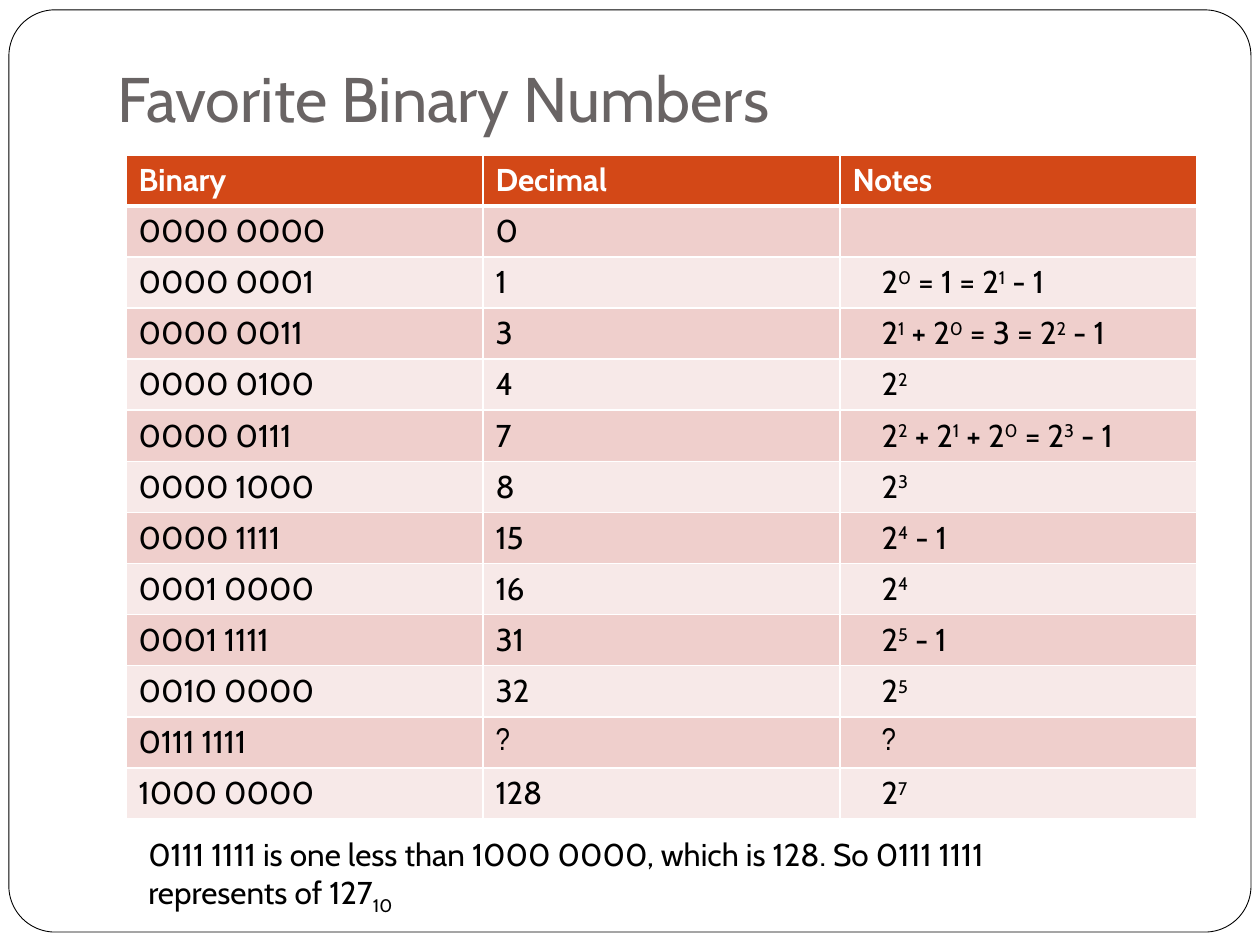
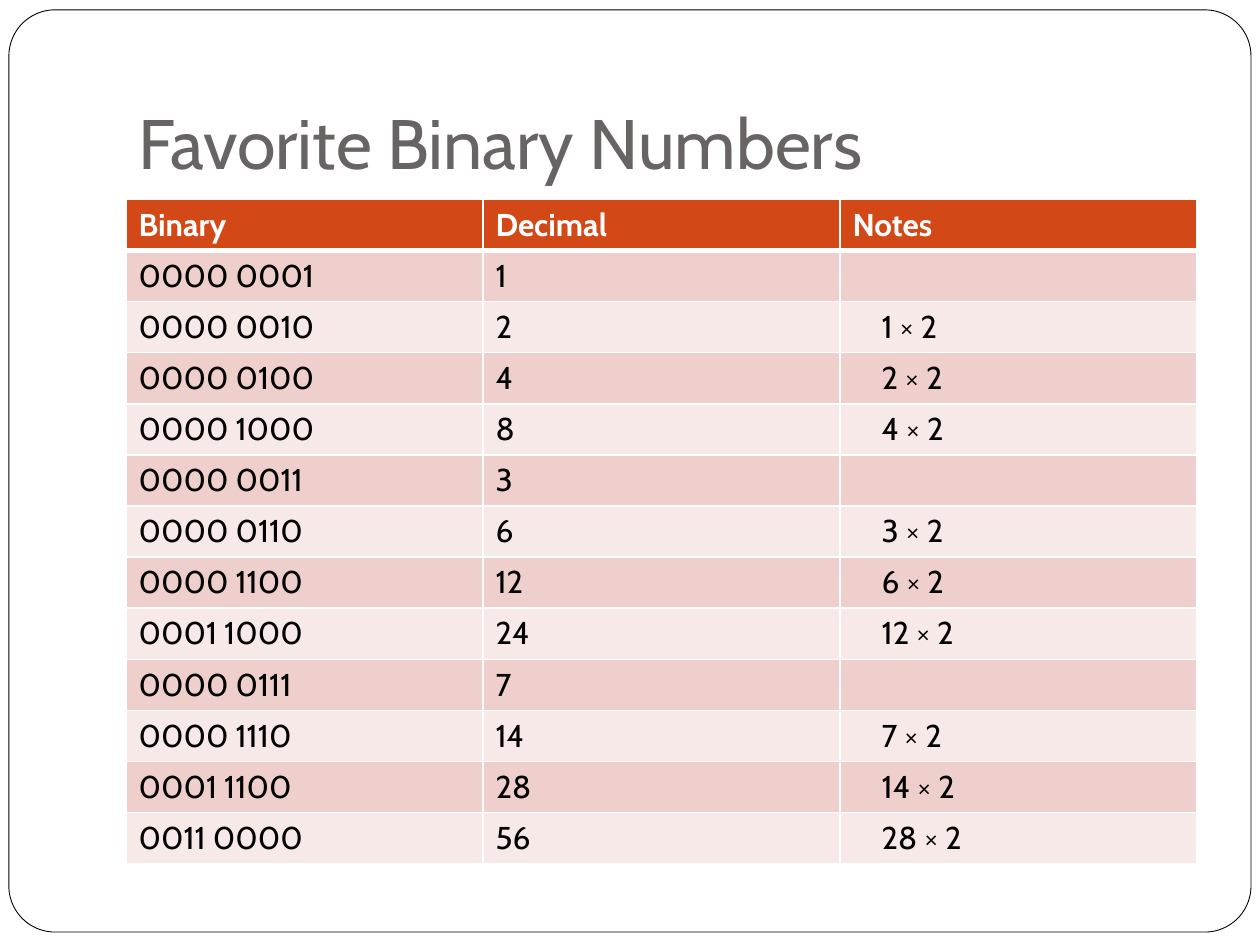
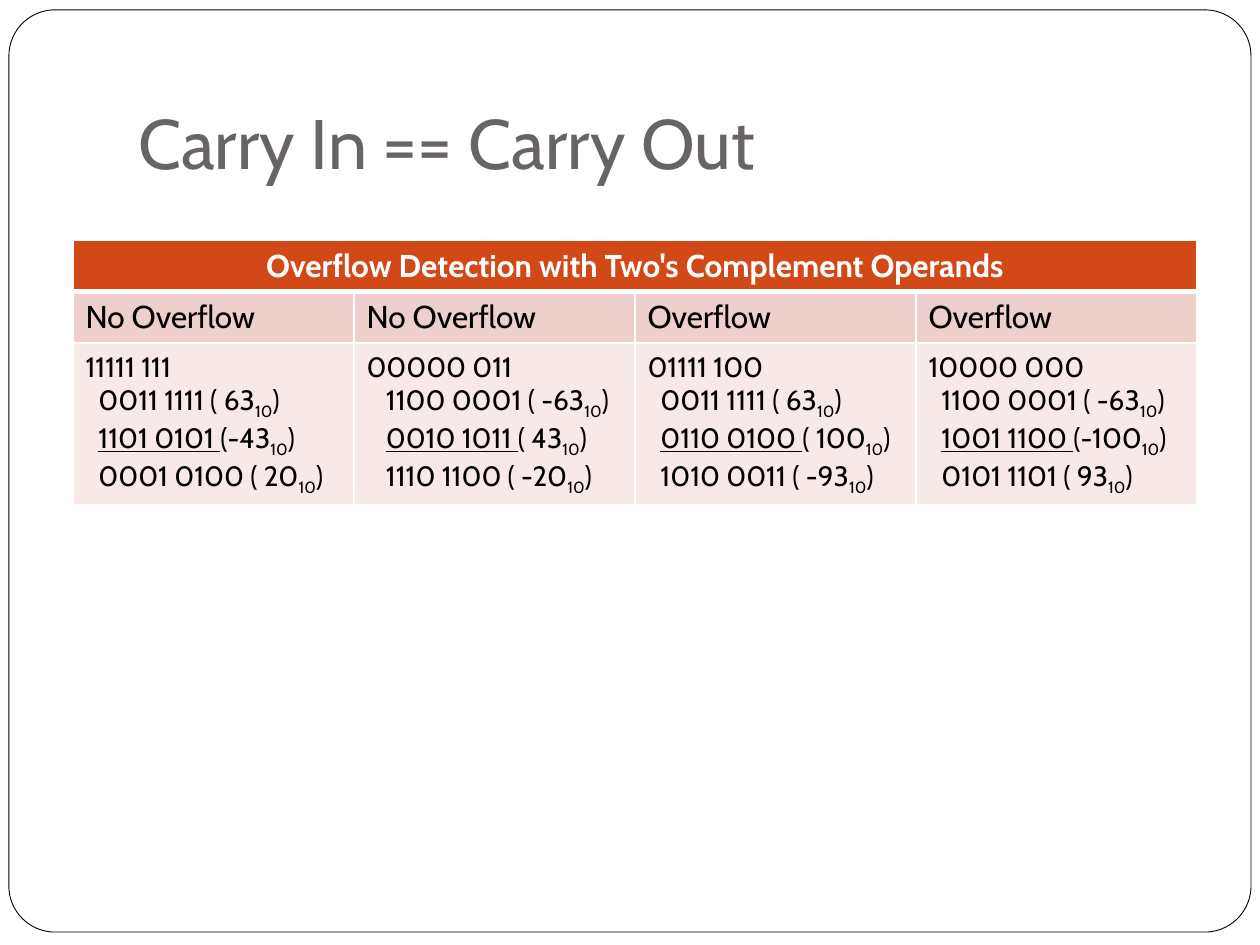
"""Build three slides on binary numbers and overflow."""
from lxml import etree
from pptx import Presentation
from pptx.dml.color import RGBColor
from pptx.enum.shapes import MSO_SHAPE
from pptx.enum.text import MSO_ANCHOR, PP_ALIGN
from pptx.oxml.ns import qn
from pptx.util import Cm, Pt

ROUND = MSO_SHAPE.ROUNDED_RECTANGLE
MIDDLE, BOTTOM = MSO_ANCHOR.MIDDLE, MSO_ANCHOR.BOTTOM
CENTER = PP_ALIGN.CENTER

WHITE = RGBColor(0xFF, 0xFF, 0xFF)
BLACK = RGBColor(0, 0, 0)
GRAY = RGBColor(0x69, 0x64, 0x64)
RUST = RGBColor(0xD3, 0x48, 0x17)
ROSE = RGBColor(0xEF, 0xCF, 0xCC)
BLUSH = RGBColor(0xF7, 0xE9, 0xE8)

BODY = {"name": "Cabin", "size": Pt(18), "bold": False}
HEAD = {**BODY, "bold": True}
SUM = {**BODY, "size": Pt(16)}
MARK = {**BODY, "name": "Arial Narrow"}
ROW = 1.03


def write(para, text, look, color=BLACK, shift=30):
    """Write text: a part before * is underlined, parts between ^ are shifted."""
    lined, _, plain = text.rpartition("*")
    parts = [(lined, True, 0)] + [
        (part, False, shift * (i % 2)) for i, part in enumerate(plain.split("^"))
    ]
    for part, under, base in parts:
        if not part:
            continue
        run = para.add_run()
        run.text = part
        for name, value in {**look, "underline": under}.items():
            setattr(run.font, name, value)
        run.font.color.rgb = color
        if base:
            run._r.get_or_add_rPr().set("baseline", str(base * 1000))


def grid(slide, left, top, width, rows, cols):
    """Add a table with white rules, a rust header and banded rows."""
    frame = slide.shapes.add_table(
        rows, cols, Cm(left), Cm(top), Cm(width), Cm(ROW * rows)
    )
    table = frame.table
    for r in range(rows):
        for c in range(cols):
            cell = table.cell(r, c)
            cell.vertical_anchor = MIDDLE
            props = cell._tc.get_or_add_tcPr()
            thick = {"lnL": 1, "lnR": 1, "lnT": 3 if r == 1 else 1,
                     "lnB": 3 if r == 0 else 1}
            for side, points in thick.items():
                line = etree.SubElement(props, qn("a:" + side), w=str(Pt(points)))
                fill = etree.SubElement(line, qn("a:solidFill"))
                etree.SubElement(fill, qn("a:srgbClr"), val=str(WHITE))
            cell.fill.solid()
            cell.fill.fore_color.rgb = (BLUSH, ROSE)[r % 2] if r else RUST
    return table


deck = Presentation()
deck.slide_width, deck.slide_height = Cm(25.4), Cm(19.05)

titles = [
    ("Favorite Binary Numbers", 36, 2.11, 0.94, 2.03),
    ("Favorite Binary Numbers", 40, 2.54, 0.76, 3.18),
    ("Carry In == Carry Out", 40, 2.54, 0.76, 3.18),
]
slides = []
for title, size, left, top, height in titles:
    slide = deck.slides.add_slide(deck.slide_layouts[6])
    slides.append(slide)
    frame = slide.shapes.add_shape(ROUND, Cm(0.18), Cm(0.2), Cm(25.04), Cm(18.59))
    frame.adjustments[0] = 0.05
    frame.shadow.inherit = False
    frame.fill.solid()
    frame.fill.fore_color.rgb = WHITE
    frame.line.color.rgb = BLACK
    frame.line.width = Pt(0.5)
    box = slide.shapes.add_textbox(Cm(left), Cm(top), Cm(21.59), Cm(height)).text_frame
    form = {"word_wrap": True, "vertical_anchor": BOTTOM, "margin_bottom": Cm(0.25)}
    for name, value in form.items():
        setattr(box, name, value)
    write(box.paragraphs[0], title, {**BODY, "size": Pt(size)}, GRAY)

powers = [
    ("0000 0000", "0", ""),
    ("0000 0001", "1", "2^0^ = 1 = 2^1^ - 1"),
    ("0000 0011", "3", "2^1^ + 2^0^ = 3 = 2^2^ - 1"),
    ("0000 0100", "4", "2^2^"),
    ("0000 0111", "7", "2^2^ + 2^1^ + 2^0^ = 2^3^ - 1"),
    ("0000 1000", "8", "2^3^"),
    ("0000 1111", "15", "2^4^ - 1"),
    ("0001 0000", "16", "2^4^"),
    ("0001 1111", "31", "2^5^ - 1"),
    ("0010 0000", "32", "2^5^"),
    ("0111 1111", "?", "?"),
    ("1000 0000", "128", "2^7^"),
]
doubles = [
    ("0000 0001", "1", ""),
    ("0000 0010", "2", "1 × 2"),
    ("0000 0100", "4", "2 × 2"),
    ("0000 1000", "8", "4 × 2"),
    ("0000 0011", "3", ""),
    ("0000 0110", "6", "3 × 2"),
    ("0000 1100", "12", "6 × 2"),
    ("0001 1000", "24", "12 × 2"),
    ("0000 0111", "7", ""),
    ("0000 1110", "14", "7 × 2"),
    ("0001 1100", "28", "14 × 2"),
    ("0011 0000", "56", "28 × 2"),
]
for slide, top, data in zip(slides, (3.12, 4.02), (powers, doubles)):
    table = grid(slide, 2.54, top, 21.59, len(data) + 1, 3)
    for c, label in enumerate(("Binary", "Decimal", "Notes")):
        write(table.cell(0, c).text_frame.paragraphs[0], label, HEAD, WHITE)
    for r, entry in enumerate(data, 1):
        for c, text in enumerate(entry):
            look = MARK if text == "?" else BODY
            write(table.cell(r, c).text_frame.paragraphs[0], text, look)
        table.cell(r, 2).margin_left = Cm(0.84)

note = slides[0].shapes.add_textbox(Cm(2.74), Cm(16.71), Cm(19.05), Cm(1.8)).text_frame
note.word_wrap = True
write(
    note.paragraphs[0],
    "0111 1111 is one less than 1000 0000, which is 128. "
    "So 0111 1111 represents of 127^10^",
    BODY, shift=-25,
)

sums = [
    ("No Overflow", 0.26, "11111 111", "0011 1111 ( 63",
     "1101 0101 *(-43", "0001 0100 ( 20"),
    ("No Overflow", 0.39, "00000 011", "1100 0001 ( -63",
     "0010 1011 *( 43", "1110 1100 ( -20"),
    ("Overflow", 0.26, "01111 100", "0011 1111 ( 63",
     "0110 0100 *( 100", "1010 0011 ( -93"),
    ("Overflow", 0.26, "10000 000", "1100 0001 ( -63",
     "1001 1100 *(-100", "0101 1101 ( 93"),
]
table = grid(slides[2], 1.47, 4.85, 22.66, 3, len(sums))
table.rows[2].height = Cm(3.27)
table.cell(0, 0).merge(table.cell(0, 3))
banner = table.cell(0, 0).text_frame.paragraphs[0]
banner.alignment = CENTER
write(banner, "Overflow Detection with Two's Complement Operands", HEAD, WHITE)
for c, (label, indent, carry, *terms) in enumerate(sums):
    write(table.cell(1, c).text_frame.paragraphs[0], label, BODY)
    body = table.cell(2, c).text_frame
    write(body.paragraphs[0], carry, SUM)
    for term in terms:
        para = body.add_paragraph()
        stops = etree.SubElement(para._p.get_or_add_pPr(), qn("a:tabLst"))
        etree.SubElement(stops, qn("a:tab"), pos=str(Cm(indent)), algn="l")
        write(para, "\t" + term + "^10^)", SUM, shift=-25)

deck.save("out.pptx")
